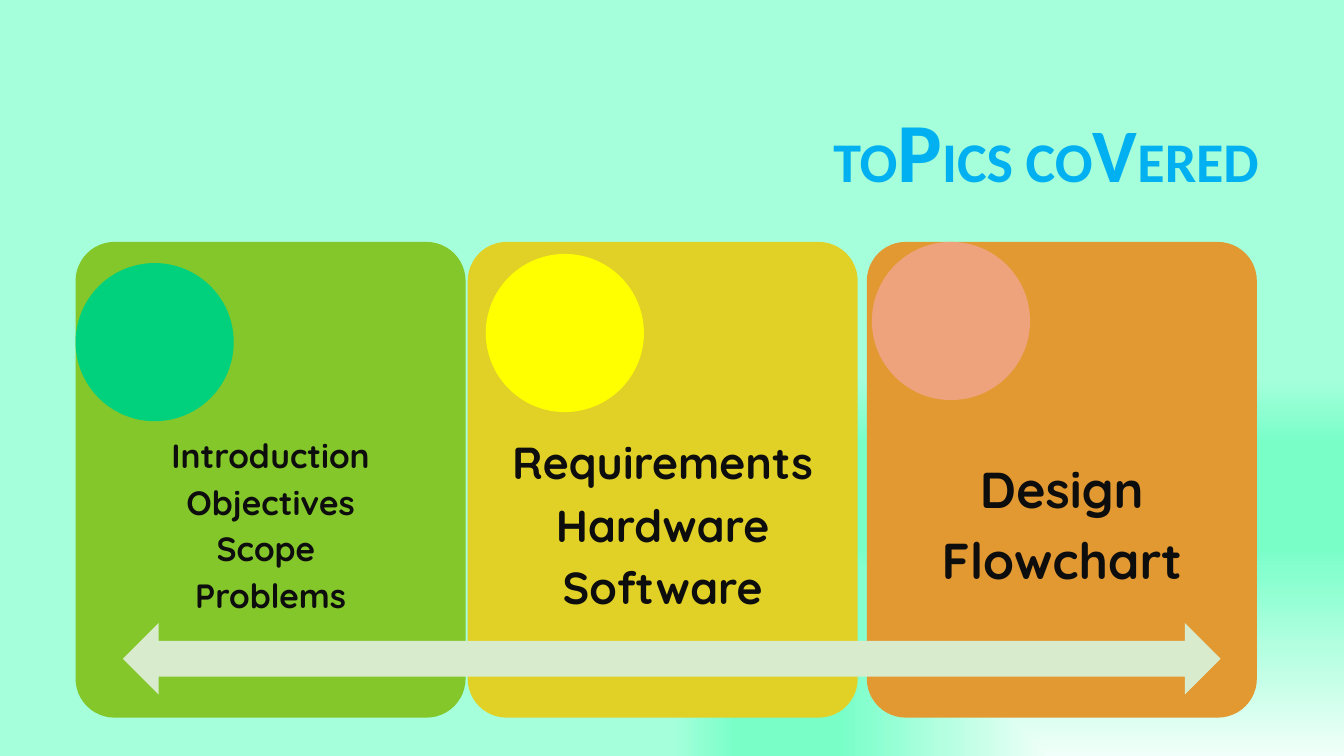
from lxml import etree
from pptx import Presentation
from pptx.dml.color import RGBColor
from pptx.enum.shapes import MSO_SHAPE as Preset
from pptx.enum.text import MSO_ANCHOR as Anchor, MSO_AUTO_SIZE as AutoSize, PP_ALIGN as Align
from pptx.oxml import parse_xml
from pptx.oxml.ns import nsdecls
from pptx.util import Pt

CARD_TOP, CARD_WIDTH, CARD_HEIGHT = 172.8, 278.6, 339.8
LIST_TOP, LIST_HEIGHT = 308.9, 136.1
CIRCLE_SIZE = 113
TITLE_RUNS = [("TO", 40), ("P", 60), ("ICS CO", 40), ("V", 54), ("ERED", 40)]
BACKGROUND_STOPS = [(0, "F0FFF9"), (28, "B5FFE1"), (41, "97FFD5"), (48, "88FFCF"),
                    (55, "79FEC8"), (83, "79FEC8"), (100, "A5FFDB")]
CARDS = [
    (54, "84C72A", (54, 187.9), "01D17D", 24, 13.5,
     ["Introduction", "Objectives", "Scope ", "Problems"]),
    (334.1, "E1D126", (347, 181.4), "FFFF00", 32, 18,
     ["Requirements", "Hardware", "Software"]),
    (619.2, "E29932", (622.8, 172.8), "EFA37D", 36, 20,
     ["Design", "Flowchart"]),
]


def color(value):
    return RGBColor.from_string(value)


def set_background(slide, stops):
    slide.background.fill.solid()
    properties = slide.background.fill._xPr
    gradient = parse_xml(
        f'<a:gradFill {nsdecls("a")} rotWithShape="1"><a:gsLst/>'
        '<a:path path="rect"><a:fillToRect l="100000" t="100000"/></a:path></a:gradFill>')
    namespace = "{" + gradient.nsmap["a"] + "}"
    for position, value in stops:
        stop = etree.SubElement(gradient[0], namespace + "gs", pos=str(position * 1000))
        etree.SubElement(stop, namespace + "srgbClr", val=value)
    properties.replace(properties[0], gradient)


def add_run(paragraph, text, size, font, value):
    run = paragraph.add_run()
    run.text = text
    run.font.size = Pt(size)
    run.font.name = font
    run.font.bold = True
    run.font.color.rgb = color(value)


def set_title(slide):
    title = slide.shapes.title
    title.left, title.top, title.width, title.height = Pt(228.2), Pt(60.5), Pt(678.2), Pt(101.5)
    frame = title.text_frame
    frame.auto_size = AutoSize.NONE
    frame.vertical_anchor = Anchor.MIDDLE
    paragraph = frame.paragraphs[0]
    paragraph.alignment = Align.RIGHT
    paragraph.line_spacing = 0.9
    for text, size in TITLE_RUNS:
        add_run(paragraph, text, size, "Calibri", "00B0F0")


def add_filled_shape(slide, preset, left, top, width, height, value):
    shape = slide.shapes.add_shape(preset, Pt(left), Pt(top), Pt(width), Pt(height))
    shape.shadow.inherit = False
    shape.fill.solid()
    shape.fill.fore_color.rgb = color(value)
    shape.line.fill.background()
    return shape


def add_topic_list(slide, left, size, inset, topics):
    box = slide.shapes.add_textbox(Pt(left), Pt(LIST_TOP), Pt(CARD_WIDTH), Pt(LIST_HEIGHT))
    frame = box.text_frame
    frame.word_wrap = True
    frame.vertical_anchor = Anchor.MIDDLE
    frame.margin_left = frame.margin_right = Pt(inset)
    frame.margin_top = frame.margin_bottom = Pt(inset)
    for index, topic in enumerate(topics):
        paragraph = frame.add_paragraph() if index else frame.paragraphs[0]
        paragraph.alignment = Align.CENTER
        paragraph.line_spacing = 0.9
        paragraph.space_after = Pt(round(size * 0.31, 1))
        add_run(paragraph, topic, size, "Quicksand", "0D0D0D")


def add_card(slide, left, fill, circle_corner, circle_fill, size, inset, topics):
    card = add_filled_shape(slide, Preset.ROUNDED_RECTANGLE, left, CARD_TOP,
                            CARD_WIDTH, CARD_HEIGHT, fill)
    card.adjustments[0] = 0.1
    add_topic_list(slide, left, size, inset, topics)
    add_filled_shape(slide, Preset.OVAL, *circle_corner, CIRCLE_SIZE, CIRCLE_SIZE, circle_fill)


def main():
    """Build the slide of topics covered and save it."""
    presentation = Presentation()
    presentation.slide_width, presentation.slide_height = Pt(960), Pt(540)
    slide = presentation.slides.add_slide(presentation.slide_layouts[5])
    set_background(slide, BACKGROUND_STOPS)
    set_title(slide)
    for card in CARDS:
        add_card(slide, *card)
    add_filled_shape(slide, Preset.LEFT_RIGHT_ARROW, 87.8, 445, 784.1, 51.1, "D9EBCD")
    presentation.save("out.pptx")


if __name__ == "__main__":
    main()
